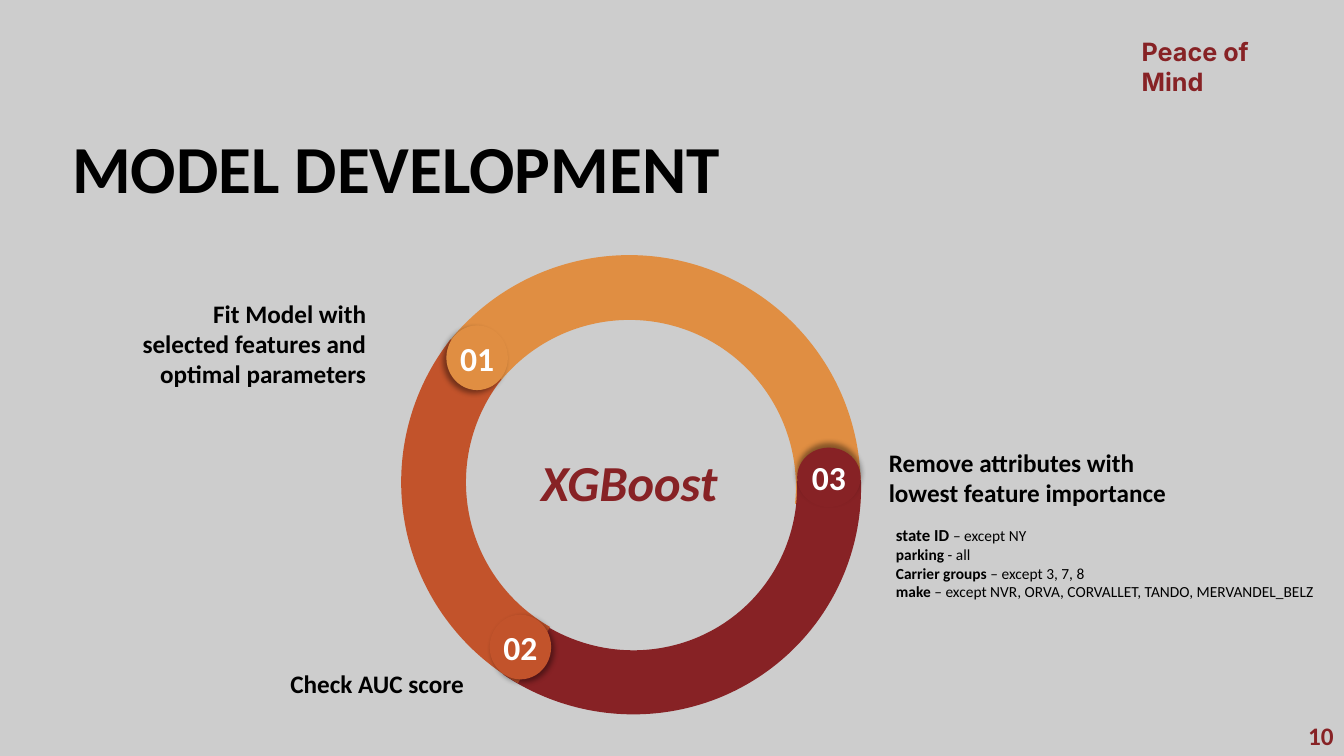
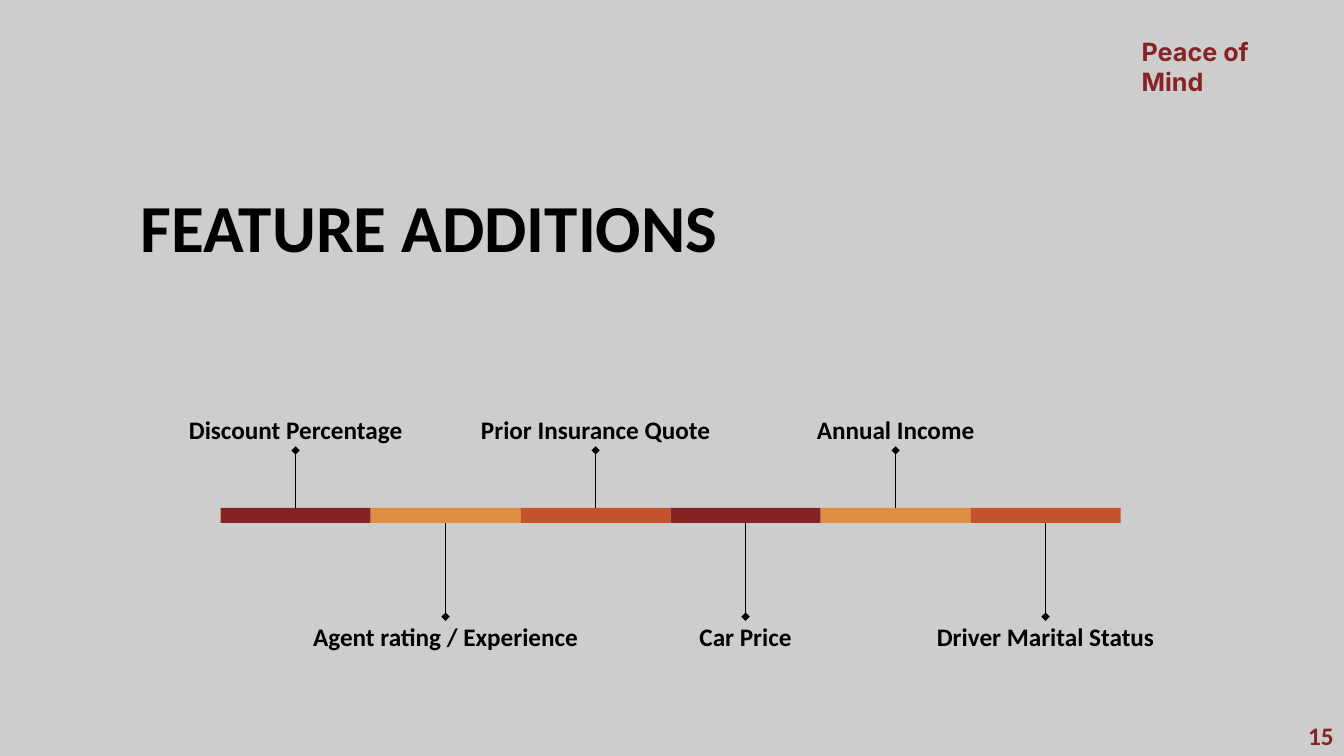
from lxml.etree import SubElement
from pptx import Presentation
from pptx.dml.color import RGBColor
from pptx.enum.shapes import MSO_CONNECTOR, MSO_SHAPE
from pptx.enum.text import MSO_ANCHOR, PP_ALIGN
from pptx.oxml.ns import qn
from pptx.util import Cm, Pt

COLORS = {
    "background": "CDCDCD",
    "ink": "000000",
    "paper": "FFFFFF",
    "maroon": "872225",
    "amber": "E08E42",
    "rust": "C2532B",
}


class Deck:
    """Shared style plus the slide being filled; lengths are in centimetres."""

    font = "Calibri"
    brand_font = "Inter"

    def __init__(self):
        self.prs = Presentation()
        self.prs.slide_width, self.prs.slide_height = Cm(33.87), Cm(19.05)
        self.slide = None

    def rgb(self, color):
        return RGBColor.from_string(COLORS[color])

    def new_slide(self, title, left, top, width, number):
        self.slide = self.prs.slides.add_slide(self.prs.slide_layouts[6])
        fill = self.slide.background.fill
        fill.solid()
        fill.fore_color.rgb = self.rgb("background")
        self.text("Peace of Mind", 28.52, 0.79, 4.32, 1.8, color="maroon",
                  font=self.brand_font, wrap=True)
        self.text(title, left, top, width, 2.31, size=48)
        self.text(str(number), 32.72, 18.03, 1.17, 1.02, color="maroon")

    def run(self, paragraph, words, size=18, color="ink", bold=True,
            italic=False, font=None):
        run = paragraph.add_run()
        run.text = words
        run.font.name = font or self.font
        run.font.size = Pt(size)
        run.font.bold = bold
        run.font.italic = italic
        run.font.color.rgb = self.rgb(color)

    def text_frame(self, left, top, width, height, wrap):
        box = self.slide.shapes.add_textbox(Cm(left), Cm(top), Cm(width), Cm(height))
        box.text_frame.word_wrap = wrap
        return box.text_frame

    def text(self, words, left, top, width, height=1.02, align=PP_ALIGN.LEFT,
             wrap=False, **style):
        paragraph = self.text_frame(left, top, width, height, wrap).paragraphs[0]
        paragraph.alignment = align
        self.run(paragraph, words, **style)

    def term_list(self, terms, left, top, width, height):
        """Lines of a bold term followed by a plain remark."""
        frame = self.text_frame(left, top, width, height, True)
        for index, (term, remark) in enumerate(terms):
            paragraph = frame.add_paragraph() if index else frame.paragraphs[0]
            self.run(paragraph, term, size=11 if index else 12)
            self.run(paragraph, remark, size=11, bold=False)

    def shape(self, kind, left, top, width, height, color):
        shape = self.slide.shapes.add_shape(
            kind, Cm(left), Cm(top), Cm(width), Cm(height))
        shape.shadow.inherit = False
        shape.fill.solid()
        shape.fill.fore_color.rgb = self.rgb(color)
        shape.line.fill.background()
        return shape

    def ring_arc(self, left, top, width, height, color, rotation, start, end):
        arc = self.shape(MSO_SHAPE.BLOCK_ARC, left, top, width, height, color)
        arc.rotation = rotation
        for index, value in enumerate((start, end, 0.14)):
            arc.adjustments[index] = value

    def badge(self, words, left, top, width, height, color, shadow_angle):
        """Numbered disc with a soft shadow falling towards shadow_angle."""
        disc = self.shape(MSO_SHAPE.OVAL, left, top, width, height, color)
        effects = disc.element.spPr.find(qn("a:effectLst"))
        shadow = SubElement(effects, qn("a:outerShdw"), blurRad=str(Pt(4)),
                            dist=str(Pt(3)), dir=str(shadow_angle * 60000),
                            algn="ctr", rotWithShape="0")
        black = SubElement(shadow, qn("a:srgbClr"), val=COLORS["ink"])
        SubElement(black, qn("a:alpha"), val="40000")
        frame = disc.text_frame
        frame.word_wrap = False
        frame.vertical_anchor = MSO_ANCHOR.MIDDLE
        frame.margin_left = frame.margin_right = 0
        frame.margin_top = frame.margin_bottom = 0
        frame.paragraphs[0].alignment = PP_ALIGN.CENTER
        self.run(frame.paragraphs[0], words, size=24, color="paper")

    def pin(self, x, bar_edge, tip):
        """Thin vertical line ending in a diamond at its tip."""
        line = self.slide.shapes.add_connector(
            MSO_CONNECTOR.STRAIGHT, Cm(x), Cm(bar_edge), Cm(x), Cm(tip))
        line.line.color.rgb = self.rgb("ink")
        line.line.width = Pt(1)
        SubElement(line.line._get_or_add_ln(), qn("a:tailEnd"), type="diamond")
        SubElement(line.element.spPr, qn("a:effectLst"))


def model_development(deck):
    deck.new_slide("MODEL DEVELOPMENT", 1.57, 3.05, 16.99, 10)
    deck.text("Fit Model with selected features and optimal parameters",
              3, 7.39, 6.48, 2.57, align=PP_ALIGN.RIGHT, wrap=True)
    deck.text("Remove attributes with lowest feature importance",
              22.15, 11.15, 8, 1.8, wrap=True)
    deck.text("Check AUC score", 7.04, 16.71, 4.93, align=PP_ALIGN.CENTER)

    deck.ring_arc(10.03, 6.43, 11.66, 11.66, "amber", 9.6, 125.23, 213.81)
    deck.ring_arc(10.13, 6.38, 11.53, 11.66, "maroon", 129.6, 137.53, 212.53)
    deck.ring_arc(10.11, 6.32, 11.66, 11.66, "rust", 234.6, 147.04, 206.1)
    deck.badge("01", 11.25, 8.2, 1.55, 1.63, "amber", 135)
    deck.badge("02", 12.34, 15.49, 1.55, 1.63, "rust", 45)
    deck.badge("03", 20.09, 11.28, 1.6, 1.5, "maroon", 270)

    deck.text("XGBoost", 13.39, 11.25, 5.03, 1.8, size=36, color="maroon", italic=True)
    deck.term_list([
        ("state ID ", "– except NY"),
        ("parking ", "- all"),
        ("Carrier groups ", "– except 3, 7, 8"),
        ("make", " – except NVR, ORVA, CORVALLET, TANDO, MERVANDEL_BELZ"),
    ], 22.33, 13.11, 11.53, 2.18)


def feature_additions(deck):
    deck.new_slide("FEATURE ADDITIONS", 3.3, 4.55, 15.19, 15)
    features = ["Discount Percentage", "Agent rating / Experience",
                "Prior Insurance Quote", "Car Price",
                "Annual Income", "Driver Marital Status"]
    palette = ["maroon", "amber", "rust"]
    bar_left, bar_top, bar_height, step = 5.56, 12.8, 0.38, 3.78
    label_width = 7.4
    for index, feature in enumerate(features):
        left = bar_left + index * step
        center = left + step / 2
        deck.shape(MSO_SHAPE.RECTANGLE, left, bar_top, step, bar_height,
                   palette[index % len(palette)])
        if index % 2:
            bar_edge, tip, label_top = bar_top + bar_height, 15.54, 15.54
        else:
            bar_edge, tip, label_top = bar_top, 11.35, 10.31
        deck.pin(center, bar_edge, tip)
        deck.text(feature, center - label_width / 2, label_top, label_width,
                  align=PP_ALIGN.CENTER)


def main():
    deck = Deck()
    model_development(deck)
    feature_additions(deck)
    deck.prs.save("out.pptx")


if __name__ == "__main__":
    main()
